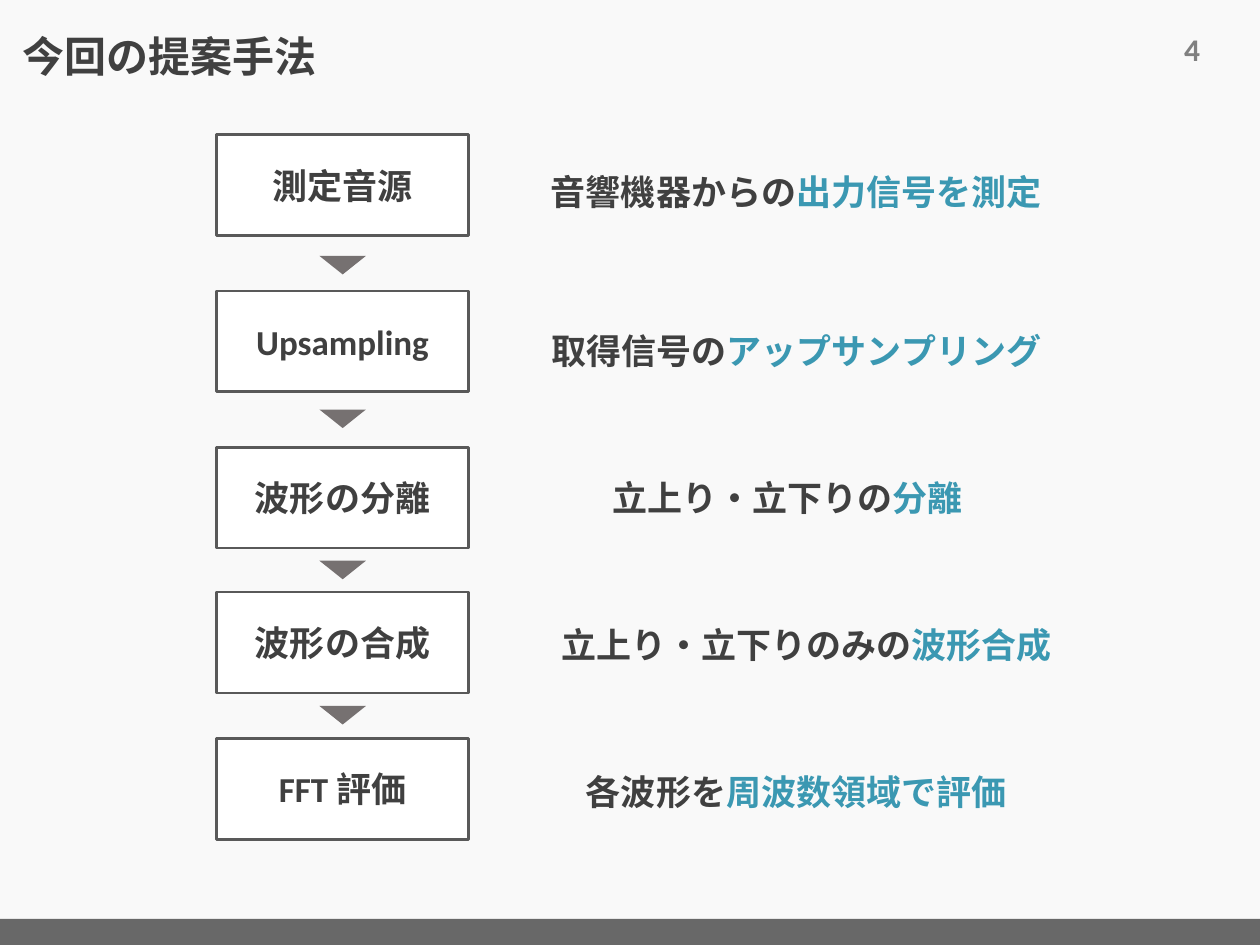
"""Build the slide that shows the proposed method as a five-step flow."""
import lxml.etree
import pptx
import pptx.dml.color
import pptx.enum.shapes
import pptx.enum.text
import pptx.oxml.ns
import pptx.util

Pt = pptx.util.Pt
RGBColor = pptx.dml.color.RGBColor
MSO_SHAPE = pptx.enum.shapes.MSO_SHAPE
PP_ALIGN = pptx.enum.text.PP_ALIGN
MSO_ANCHOR = pptx.enum.text.MSO_ANCHOR

BACKGROUND = RGBColor(0xF9, 0xF9, 0xF9)
WHITE = RGBColor(0xFF, 0xFF, 0xFF)
FRAME = RGBColor(0x59, 0x59, 0x59)
INK = RGBColor(0x40, 0x40, 0x40)
ACCENT = RGBColor(0x3B, 0x98, 0xB2)
ARROW = RGBColor(0x76, 0x71, 0x71)
NUMBER = RGBColor(0x80, 0x80, 0x80)

SLIDE_WIDTH, SLIDE_HEIGHT = 720, 540
FOOTER_HEIGHT = 15
BOX_LEFT, BOX_WIDTH, BOX_HEIGHT = 123.8, 144, 57.6
ARROW_WIDTH, ARROW_HEIGHT = 26.6, 10.6
ARROW_LEFT = BOX_LEFT + (BOX_WIDTH - ARROW_WIDTH) / 2
NOTE_WIDTH, NOTE_HEIGHT = 327, 31.5

# Step label, box top, note left, note top, plain note text, accented note text
STEPS = [
    ("測定音源", 77, 291.6, 93.6, "音響機器からの", "出力信号を測定"),
    ("Upsampling", 166.3, 291.6, 184.5, "取得信号の", "アップサンプリング"),
    ("波形の分離", 255.6, 286.6, 268.6, "立上り・立下りの", "分離"),
    ("波形の合成", 338.4, 297.4, 352.8, "立上り・立下りのみの", "波形合成"),
    ("FFT 評価", 422, 291.6, 436.5, "各波形を", "周波数領域で評価"),
]
ARROW_TOPS = [146.2, 234, 320.4, 403.4]


def write_text(shape, runs, size, font="Calibri", align=PP_ALIGN.CENTER, anchor=MSO_ANCHOR.TOP):
    """Write one bold paragraph of (text, colour) runs into a shape."""
    frame = shape.text_frame
    frame.word_wrap = True
    frame.vertical_anchor = anchor
    paragraph = frame.paragraphs[0]
    paragraph.alignment = align
    paragraph.font.name = font
    paragraph.font.size = Pt(size)
    paragraph.font.bold = True
    for text, colour in runs:
        run = paragraph.add_run()
        run.text = text
        run.font.color.rgb = colour
    return paragraph


def add_text(slide, left, top, width, height, runs, size, **style):
    """Add a text box and return its paragraph."""
    shape = slide.shapes.add_textbox(Pt(left), Pt(top), Pt(width), Pt(height))
    return write_text(shape, runs, size, **style)


def add_solid(slide, kind, left, top, width, height, fill):
    """Add a filled preset shape without outline or shadow."""
    shape = slide.shapes.add_shape(kind, Pt(left), Pt(top), Pt(width), Pt(height))
    shape.shadow.inherit = False
    shape.fill.solid()
    shape.fill.fore_color.rgb = fill
    shape.line.fill.background()
    return shape


def add_footer(slide):
    """Add the slightly transparent band along the bottom edge."""
    top = SLIDE_HEIGHT - FOOTER_HEIGHT
    band = add_solid(slide, MSO_SHAPE.RECTANGLE, 0, top, SLIDE_WIDTH, FOOTER_HEIGHT, FRAME)
    colour = band.fill._xPr.find(".//" + pptx.oxml.ns.qn("a:srgbClr"))
    lxml.etree.SubElement(colour, pptx.oxml.ns.qn("a:alpha"), val="90000")


def add_step_box(slide, top, label):
    """Add one outlined step of the flow."""
    box = add_solid(slide, MSO_SHAPE.RECTANGLE, BOX_LEFT, top, BOX_WIDTH, BOX_HEIGHT, WHITE)
    box.line.color.rgb = FRAME
    box.line.width = Pt(1.5)
    write_text(box, [(label, INK)], 20, anchor=MSO_ANCHOR.MIDDLE)


def add_down_arrow(slide, top):
    """Add a triangle that points down to the next step."""
    arrow = add_solid(slide, MSO_SHAPE.ISOSCELES_TRIANGLE, ARROW_LEFT, top,
                      ARROW_WIDTH, ARROW_HEIGHT, ARROW)
    arrow.rotation = 180


def main():
    """Build and save the presentation."""
    presentation = pptx.Presentation()
    presentation.slide_width = Pt(SLIDE_WIDTH)
    presentation.slide_height = Pt(SLIDE_HEIGHT)
    slide = presentation.slides.add_slide(presentation.slide_layouts[6])
    slide.background.fill.solid()
    slide.background.fill.fore_color.rgb = BACKGROUND

    add_footer(slide)
    title = add_text(slide, 5.8, 5.8, 544.3, 44.6, [("今回の提案手法", INK)], 24,
                     font="Arial", align=PP_ALIGN.LEFT, anchor=MSO_ANCHOR.BOTTOM)
    title.line_spacing = 0.9
    add_text(slide, 669.6, 13.7, 38.2, 28.8, [("4", NUMBER)], 18, align=PP_ALIGN.LEFT)

    for label, box_top, note_left, note_top, plain, accented in STEPS:
        add_step_box(slide, box_top, label)
        add_text(slide, note_left, note_top, NOTE_WIDTH, NOTE_HEIGHT,
                 [(plain, INK), (accented, ACCENT)], 20)
    for top in ARROW_TOPS:
        add_down_arrow(slide, top)

    presentation.save("out.pptx")


if __name__ == "__main__":
    main()
